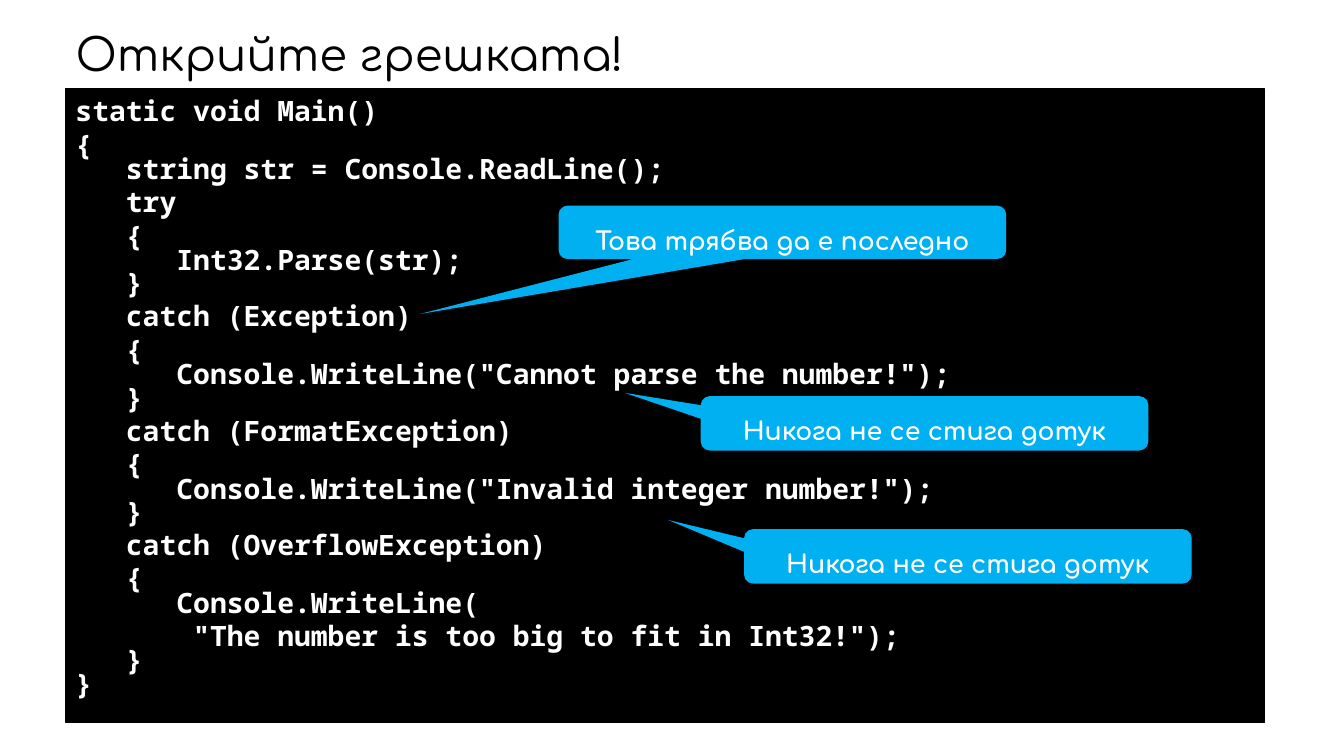
from pptx import Presentation
from pptx.dml.color import RGBColor
from pptx.enum.shapes import MSO_SHAPE
from pptx.enum.text import MSO_ANCHOR, MSO_AUTO_SIZE, PP_ALIGN
from pptx.util import Inches, Pt

CODE = """static void Main()
{
   string str = Console.ReadLine();
   try
   {
      Int32.Parse(str);
   }
   catch (Exception)
   {
      Console.WriteLine("Cannot parse the number!");
   }
   catch (FormatException)
   {
      Console.WriteLine("Invalid integer number!");
   }
   catch (OverflowException)
   {
      Console.WriteLine(
       "The number is too big to fit in Int32!");
   }
}"""

# Left, top, height, text and pointer offset of each callout
CALLOUTS = [
    (5.54, 2.04, 0.53, "Това трябва да е последно", (-0.81, 1.53)),
    (6.95, 3.93, 0.54, "Никога не се стига дотук", (-0.67, -0.56)),
    (7.38, 5.25, 0.54, "Никога не се стига дотук", (-0.67, -0.67)),
]


def color(hex_value):
    return RGBColor.from_string(hex_value)


class SlideBuilder:
    text_font = "Comfortaa"
    code_font = "Noto Sans Mono"
    black, white, blue = "000000", "FFFFFF", "00B0F0"

    def __init__(self, presentation):
        self.slide = presentation.slides.add_slide(presentation.slide_layouts[5])

    def format_runs(self, paragraph, font_name, size, hex_value, bold):
        for run in paragraph.runs:
            run.font.name = font_name
            run.font.size = Pt(size)
            run.font.bold = bold
            run.font.color.rgb = color(hex_value)

    def add_title(self, text, left, top, width, height):
        title = self.slide.shapes.title
        title.left, title.top = Inches(left), Inches(top)
        title.width, title.height = Inches(width), Inches(height)
        text_frame = title.text_frame
        text_frame.text = text
        text_frame.auto_size = MSO_AUTO_SIZE.NONE
        text_frame.vertical_anchor = MSO_ANCHOR.MIDDLE
        paragraph = text_frame.paragraphs[0]
        paragraph.alignment = PP_ALIGN.LEFT
        paragraph.line_spacing = 0.9
        self.format_runs(paragraph, self.text_font, 32, self.black, False)

    def add_box(self, preset, left, top, width, height, fill, text):
        shape = self.slide.shapes.add_shape(
            preset, Inches(left), Inches(top), Inches(width), Inches(height))
        shape.shadow.inherit = False
        shape.fill.solid()
        shape.fill.fore_color.rgb = color(fill)
        shape.line.fill.background()
        text_frame = shape.text_frame
        text_frame.text = text
        text_frame.word_wrap = True
        text_frame.vertical_anchor = MSO_ANCHOR.TOP
        text_frame.auto_size = MSO_AUTO_SIZE.SHAPE_TO_FIT_TEXT
        return shape

    def add_code(self, code, left, top, width, height):
        shape = self.add_box(
            MSO_SHAPE.RECTANGLE, left, top, width, height, self.black, code)
        shape.line.color.rgb = color(self.black)
        shape.line.width = Pt(1)
        previous = ""
        for paragraph in shape.text_frame.paragraphs:
            current = paragraph.text.strip()
            # Closing braces and the first line of a block sit tighter
            tight = current == "}" or previous == "{"
            paragraph.line_spacing = 0.7 if tight else 1.0
            paragraph.alignment = PP_ALIGN.LEFT
            self.format_runs(paragraph, self.code_font, 20, self.white, True)
            previous = current

    def add_callout(self, left, top, height, text, pointer):
        shape = self.add_box(
            MSO_SHAPE.ROUNDED_RECTANGULAR_CALLOUT,
            left, top, 4.44, height, self.blue, text)
        shape.adjustments[0], shape.adjustments[1] = pointer
        paragraph = shape.text_frame.paragraphs[0]
        paragraph.alignment = PP_ALIGN.CENTER
        paragraph.line_spacing = Pt(30)
        self.format_runs(paragraph, self.text_font, 18, self.white, True)


def main():
    presentation = Presentation()
    presentation.slide_width = Inches(13.33)
    presentation.slide_height = Inches(7.5)
    builder = SlideBuilder(presentation)

    # Title and code listing
    builder.add_title("Открийте грешката!", 0.65, 0.26, 11.89, 0.62)
    builder.add_code(CODE, 0.65, 0.88, 11.89, 6.29)

    # Callouts pointing at the mistakes
    for callout in CALLOUTS:
        builder.add_callout(*callout)

    presentation.save("out.pptx")


if __name__ == "__main__":
    main()
